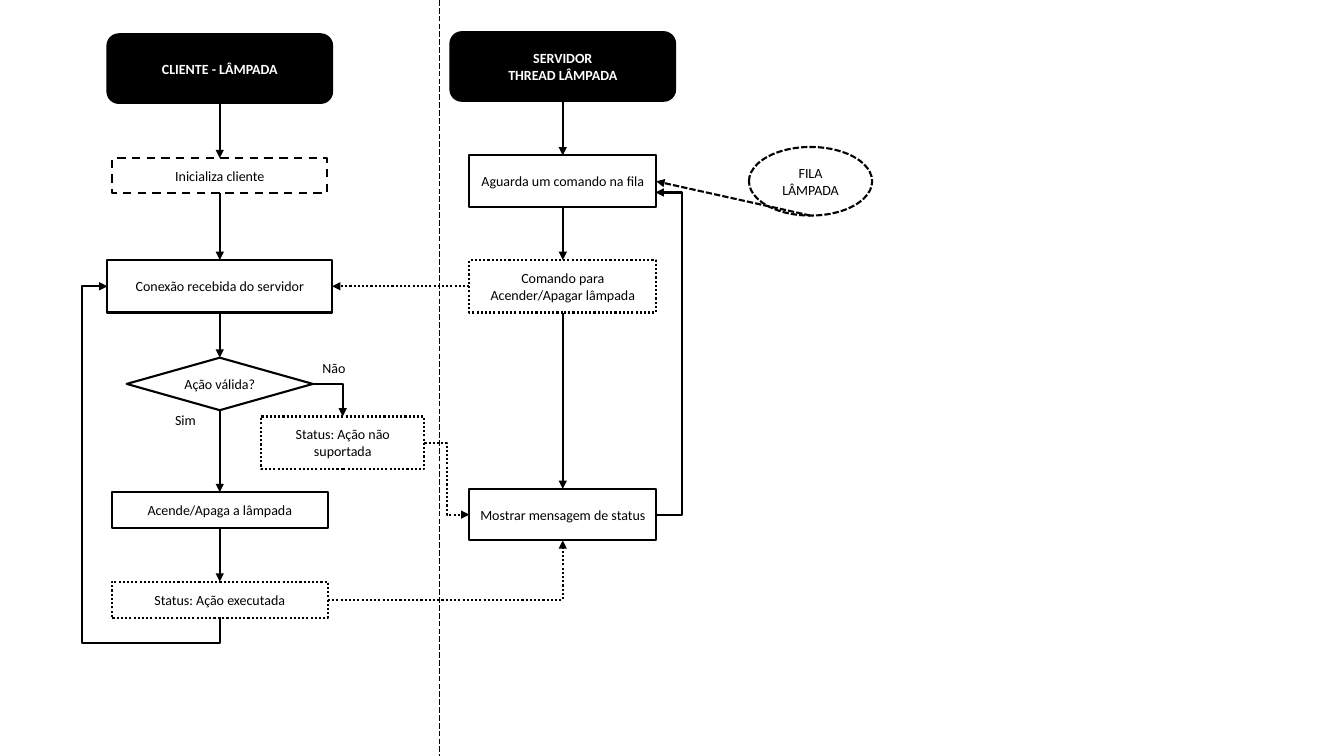
from lxml.etree import SubElement
from pptx import Presentation
from pptx.dml.color import RGBColor
from pptx.enum.dml import MSO_LINE_DASH_STYLE as Dash
from pptx.enum.shapes import MSO_CONNECTOR as Link, MSO_SHAPE as Form
from pptx.enum.text import MSO_ANCHOR as Anchor, PP_ALIGN as Align
from pptx.oxml.ns import qn
from pptx.util import Pt

BLACK = RGBColor(0, 0, 0)
WHITE = RGBColor(255, 255, 255)
CLIENT, SERVER = 157, 402
BOTTOM, LEFT, TOP, RIGHT = 2, 1, 0, 3


def write(frame, text, color=BLACK, bold=False, align=Align.LEFT):
    """Fill a text frame with 10-point Calibri."""
    frame.text = text
    frame.word_wrap = True
    for para in frame.paragraphs:
        para.alignment = align
        for run in para.runs:
            font = run.font
            font.name, font.size, font.bold = "Calibri", Pt(10), bold
            font.color.rgb = color


def pen(line, dash=None, width=1.5):
    """Set a black outline."""
    line.color.rgb = BLACK
    line.width = Pt(width)
    if dash:
        line.dash_style = dash


def node(slide, text, mid, top, width, height, form=Form.RECTANGLE, dash=None, head=False):
    """Draw a flowchart step centred on the x position mid."""
    shape = slide.shapes.add_shape(form, Pt(mid - width / 2), Pt(top), Pt(width), Pt(height))
    shape.shadow.inherit = False
    shape.fill.solid()
    shape.fill.fore_color.rgb = BLACK if head else WHITE
    pen(shape.line, dash)
    frame = shape.text_frame
    frame.vertical_anchor = Anchor.MIDDLE
    frame.margin_left = frame.margin_right = Pt(5)
    write(frame, text, WHITE if head else BLACK, head, Align.CENTER)
    return shape


def label(slide, text, left, top):
    """Place a branch label."""
    box = slide.shapes.add_textbox(Pt(left), Pt(top), Pt(50.4), Pt(19.5))
    write(box.text_frame, text)


def wire(slide, kind, start, end, dash=None, width=1.5, arrow=True):
    """Add a plain connector between two points."""
    line = slide.shapes.add_connector(kind, *(Pt(n) for n in (*start, *end)))
    pen(line.line, dash, width)
    props = line.element.spPr
    if arrow:
        SubElement(props.find(qn("a:ln")), qn("a:tailEnd"), type="triangle")
    SubElement(props, qn("a:effectLst"))
    return line


def join(slide, first, last, out=BOTTOM, into=TOP, dash=None):
    """Join two steps with a straight arrow."""
    line = wire(slide, Link.STRAIGHT, (0, 0), (0, 0), dash)
    line.begin_connect(first, out)
    line.end_connect(last, into)


def elbow(slide, start, end, form, bends=(), dash=None, turn=False):
    """Add a bent arrow, turned by a quarter if it leaves downwards."""
    if turn:
        midx, midy = (start[0] + end[0]) / 2, (start[1] + end[1]) / 2
        dx, dy = start[0] - midx, start[1] - midy
        start, end = (midx + dy, midy - dx), (midx - dy, midy + dx)
    line = wire(slide, Link.ELBOW, start, end, dash)
    props = line.element.spPr
    if turn:
        props.find(qn("a:xfrm")).set("rot", "5400000")
    shape = props.find(qn("a:prstGeom"))
    shape.set("prst", form)
    for i, bend in enumerate(bends, 1):
        SubElement(shape.find(qn("a:avLst")), qn("a:gd"),
                   name=f"adj{i}", fmla=f"val {round(bend * 100000)}")


def client(slide):
    """Draw the client column."""
    steps = [
        node(slide, "CLIENTE - LÂMPADA", CLIENT, 24.5, 160.5, 49, Form.ROUNDED_RECTANGLE, head=True),
        node(slide, "Inicializa cliente", CLIENT, 113, 153.5, 25, dash=Dash.DASH),
        node(slide, "Conexão recebida do servidor", CLIENT, 185.75, 160.5, 37.5),
        node(slide, "Ação válida?", CLIENT, 255.5, 133, 37.5, Form.DIAMOND),
        node(slide, "Acende/Apaga a lâmpada", CLIENT, 351.5, 154.5, 26),
        node(slide, "Status: Ação executada", CLIENT, 415.5, 154.5, 26, dash=Dash.ROUND_DOT),
    ]
    for first, last in zip(steps, steps[1:]):
        join(slide, first, last)
    node(slide, "Status: Ação não suportada", 244.8, 297.5, 116.75, 37.5, dash=Dash.ROUND_DOT)
    label(slide, "Não", 223.2, 253.5)
    label(slide, "Sim", 118, 290.25)
    elbow(slide, (223.5, 274.25), (244.8, 297.5), "bentConnector2")
    elbow(slide, (CLIENT, 441.5), (76.75, 204.5), "bentConnector4", (-0.076, 1.225), turn=True)
    return steps[2]


def server(slide):
    """Draw the server column and its queue."""
    steps = [
        node(slide, "SERVIDOR\nTHREAD LÂMPADA", SERVER, 23, 160.5, 49, Form.ROUNDED_RECTANGLE, head=True),
        node(slide, "Aguarda um comando na fila", SERVER, 111, 133.5, 37),
        node(slide, "Comando para Acender/Apagar lâmpada", SERVER, 185.75, 133.5, 37.5,
             dash=Dash.ROUND_DOT),
        node(slide, "Mostrar mensagem de status", SERVER, 349.25, 133.5, 36.75),
    ]
    for first, last in zip(steps, steps[1:]):
        join(slide, first, last)
    queue = node(slide, "FILA\nLÂMPADA", 579, 105, 88, 49, Form.OVAL, Dash.SQUARE_DOT)
    wait = steps[1]
    line = wire(slide, Link.STRAIGHT, (535, 129.5), (468.75, 129.5), Dash.SQUARE_DOT)
    line.begin_connect(queue, 2)
    line.end_connect(wait, RIGHT)
    elbow(slide, (469.25, 367.6), (468.25, 137.5), "bentConnector3", (-18,))
    return steps[2]


def main():
    """Build the flowchart slide."""
    deck = Presentation()
    deck.slide_width, deck.slide_height = Pt(960), Pt(540)
    slide = deck.slides.add_slide(deck.slide_layouts[6])
    wire(slide, Link.STRAIGHT, (314, 0), (314, 540), Dash.LONG_DASH, 0.5, arrow=False)
    reply = client(slide)
    order = server(slide)
    join(slide, order, reply, LEFT, RIGHT, Dash.ROUND_DOT)
    elbow(slide, (303.2, 316.25), (335.25, 367.6), "bentConnector3", dash=Dash.ROUND_DOT)
    elbow(slide, (234.25, 428.5), (SERVER, 386), "bentConnector2", dash=Dash.ROUND_DOT)
    deck.save("out.pptx")


if __name__ == "__main__":
    main()
